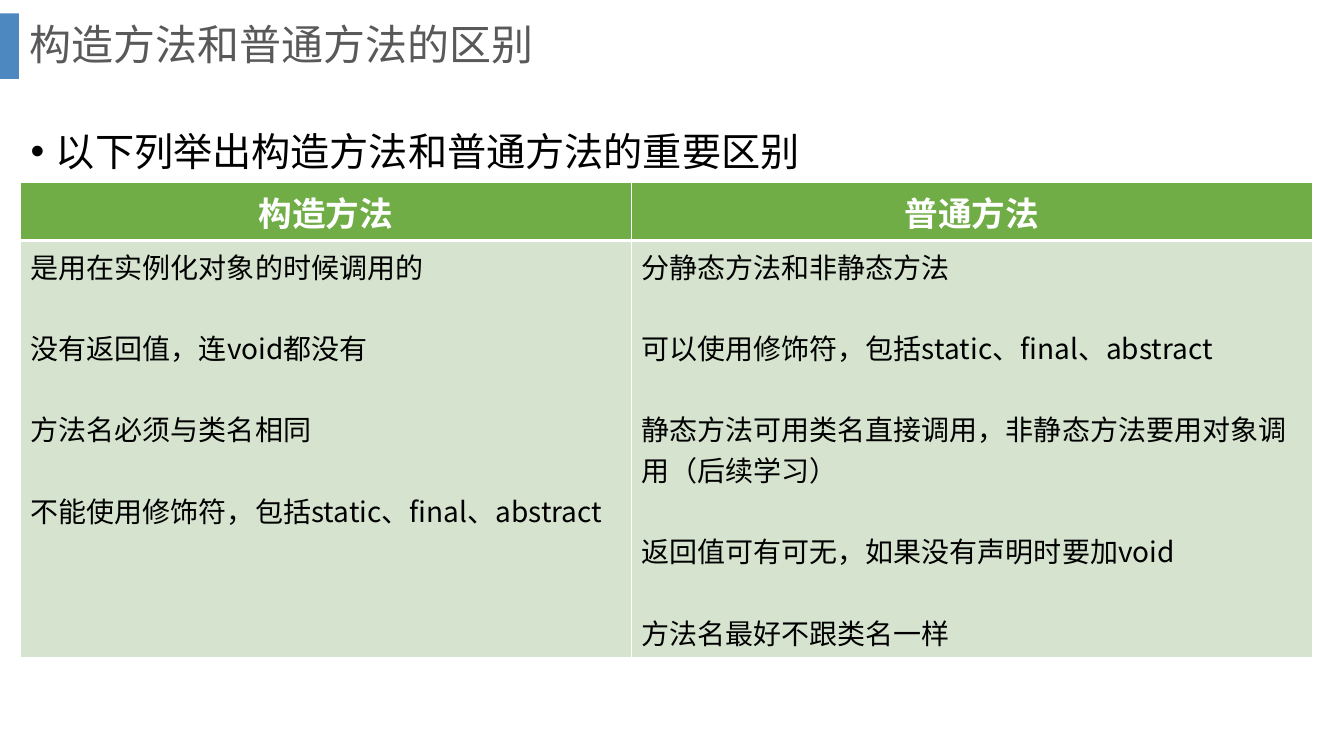
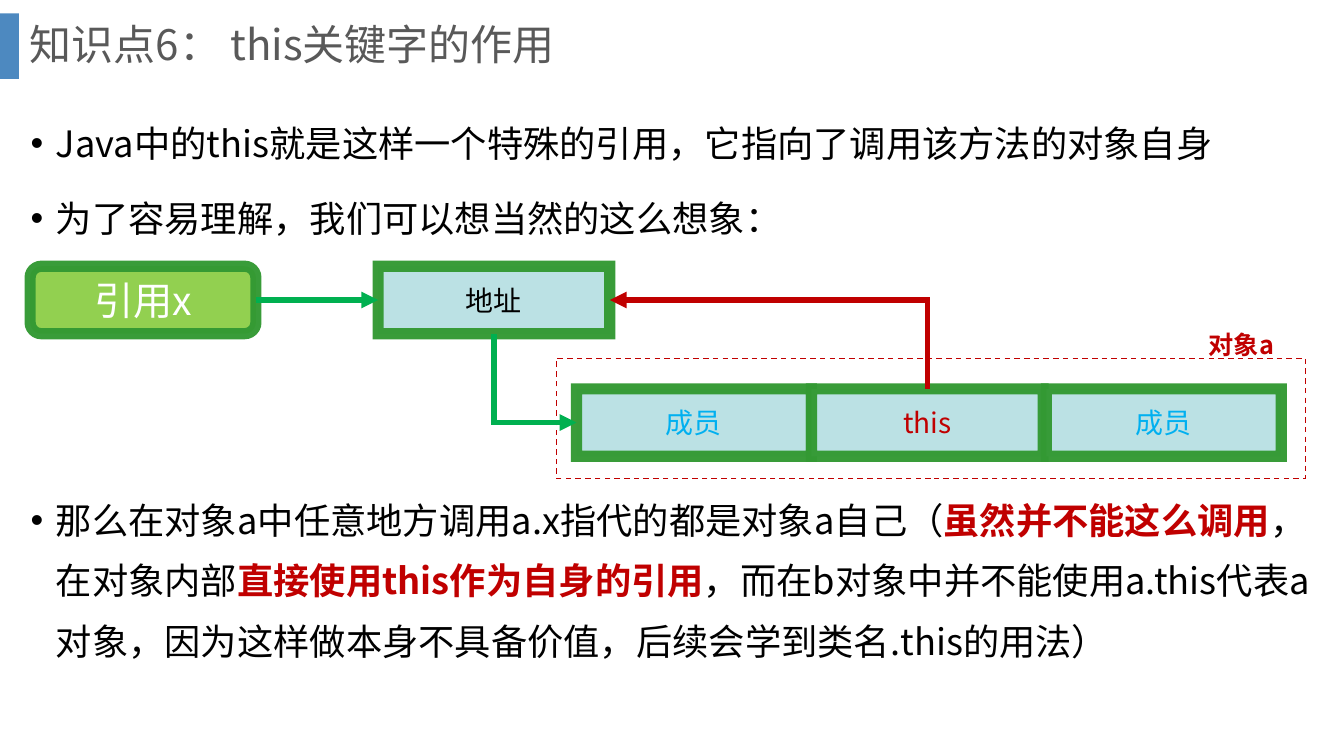
import pptx
import pptx.util
import pptx.dml.color
import pptx.enum.dml
import pptx.enum.shapes
import pptx.enum.text
import pptx.oxml
import pptx.oxml.ns

Cm, Pt = pptx.util.Cm, pptx.util.Pt
SHAPE = pptx.enum.shapes.MSO_SHAPE
LINK = pptx.enum.shapes.MSO_CONNECTOR
ALIGN = pptx.enum.text.PP_ALIGN
ANCHOR = pptx.enum.text.MSO_ANCHOR

FONT = "Noto Sans CJK SC"
BLACK, WHITE, GREY = "000000", "FFFFFF", "595959"
BLUE, CYAN, PALE, RED = "2E75B6", "00B0F0", "BBE1E4", "C00000"
LIME, GREEN, EDGE = "92D050", "00B050", "339933"
HEAD, CELL = "70AD47", "D5E3CF"
TOP, LEFT, BOTTOM, RIGHT = range(4)  # connection sites of a box

# Slide 1
TITLE_1 = "构造方法和普通方法的区别"
INTRO = "以下列举出构造方法和普通方法的重要区别"
COLUMNS = [
    ("构造方法", 15.39, [
        "是用在实例化对象的时候调用的",
        "没有返回值，连void都没有",
        "方法名必须与类名相同",
        "不能使用修饰符，包括static、final、abstract",
    ]),
    ("普通方法", 17.16, [
        "分静态方法和非静态方法",
        "可以使用修饰符，包括static、final、abstract",
        "静态方法可用类名直接调用，非静态方法要用对象调用（后续学习）",
        "返回值可有可无，如果没有声明时要加void",
        "方法名最好不跟类名一样",
    ]),
]
ROWS = [1.47, 10.5]

# Slide 2: each point is its space before and its runs (text, stressed)
TITLE_2 = "知识点6： this关键字的作用"
POINTS = [
    (10, [("Java中的this就是这样一个特殊的引用，它指向了调用该方法的对象自身", False)]),
    (10, [("为了容易理解，我们可以想当然的这么想象：", False)]),
    (172, [
        ("那么在对象a中任意地方调用a.x指代的都是对象a自己（", False),
        ("虽然并不能这么调用", True),
        ("，在对象内部", False),
        ("直接使用this作为自身的引用", True),
        ("，而在b对象中并不能使用a.this代表a对象，因为这样做本身不具备价值，"
         "后续会学到类名.this的用法）", False),
    ]),
]
PARTS = [("成员", CYAN, 5.92), ("this", RED, 5.84), ("成员", CYAN, 5.92)]
PART_X, PART_Y, PITCH = 14.53, 9.8, 5.92
BOX_Y, BOX_H, BOX_W = 6.71, 1.7, 5.84


def rgb(code):
    return pptx.dml.color.RGBColor.from_string(code)


def node(tag, **attrs):
    item = pptx.oxml.parse_xml(f"<a:{tag} {pptx.oxml.ns.nsdecls('a')}/>")
    for key, value in attrs.items():
        item.set(key, str(value))
    return item


def paint(fill, code, alpha=100):
    fill.solid()
    fill.fore_color.rgb = rgb(code)
    if alpha < 100:
        color = fill._xPr.find(".//" + pptx.oxml.ns.qn("a:srgbClr"))
        color.append(node("alpha", val=alpha * 1000))


def stroke(line, code, width, alpha=100):
    paint(line.fill, code, alpha)
    line.width = Pt(width)
    line._get_or_add_ln().append(node("miter", lim=800000))


def write(para, text, size, color, bold=False):
    run = para.add_run()
    run.text = text
    font = run.font
    font.size, font.bold = Pt(size), bold
    font.color.rgb = rgb(color)
    font.name = FONT
    run._r.get_or_add_rPr().append(node("ea", typeface=FONT))


def add_text(slide, x, y, w, h):
    frame = slide.shapes.add_textbox(Cm(x), Cm(y), Cm(w), Cm(h)).text_frame
    frame.word_wrap = True
    return frame


def add_box(slide, x, y, w, h, kind=SHAPE.RECTANGLE):
    box = slide.shapes.add_shape(kind, Cm(x), Cm(y), Cm(w), Cm(h))
    box.shadow.inherit = False
    return box


def add_block(slide, x, y, text, color, fill=PALE, size=20, w=BOX_W,
              kind=SHAPE.RECTANGLE):
    """Add a thick-edged box with a centred label."""
    box = add_box(slide, x, y, w, BOX_H, kind)
    paint(box.fill, fill)
    stroke(box.line, EDGE, 8, 96)
    box.text_frame.vertical_anchor = ANCHOR.MIDDLE
    para = box.text_frame.paragraphs[0]
    para.alignment = ALIGN.CENTER
    write(para, text, size, color)
    return box


def add_arrow(slide, goal, site, start, exit_site, color, bent=True):
    """Draw from goal back to start, so a bend leaves the goal sideways."""
    kind = LINK.ELBOW if bent else LINK.STRAIGHT
    link = slide.shapes.add_connector(kind, 0, 0, 0, 0)
    link.begin_connect(goal, site)
    link.end_connect(start, exit_site)
    if bent:
        link._element.spPr.prstGeom.set("prst", "bentConnector2")
    stroke(link.line, color, 4)
    link.line._get_or_add_ln().append(node("headEnd", type="triangle"))
    link._element.spPr.append(node("effectLst"))


def add_point(frame, runs, size, pitch, before):
    """Add a bulleted paragraph from (text, stressed) runs."""
    para = frame.paragraphs[0]
    if para.runs:
        para = frame.add_paragraph()
    para.line_spacing, para.space_before = pitch, Pt(before)
    props = para._p.get_or_add_pPr()
    props.set("marL", str(Cm(0.64)))
    props.set("indent", str(-Cm(0.64)))
    props.append(node("buFont", typeface="Arial"))
    props.append(node("buChar", char="•"))
    for text, stress in runs:
        write(para, text, size, RED if stress else BLACK, stress)


def add_slide(deck, title):
    """Add a slide with band and title; return it with its body frame."""
    slide = deck.slides.add_slide(deck.slide_layouts[6])
    band = add_box(slide, 0, 0.34, 0.48, 1.65)
    paint(band.fill, BLUE, 85)
    band.line.fill.background()
    frame = add_text(slide, 0.5, 0, 32.16, 2.36)
    frame.vertical_anchor = ANCHOR.MIDDLE
    frame.paragraphs[0].line_spacing = 0.9
    write(frame.paragraphs[0], title, 30, GREY)
    return slide, add_text(slide, 0.52, 2.49, 32.77, 15.14)


def style_cell(cell, fill, top, bottom):
    props = cell._tc.get_or_add_tcPr()
    for side, width in zip("LRTB", (1, 1, top, bottom)):
        edge = node("ln" + side, w=Pt(width))
        solid = node("solidFill")
        solid.append(node("srgbClr", val=WHITE))
        edge.append(solid)
        props.append(edge)
    paint(cell.fill, fill)


def add_table(slide):
    width = sum(column[1] for column in COLUMNS)
    table = slide.shapes.add_table(
        len(ROWS), len(COLUMNS), Cm(0.52), Cm(4.59), Cm(width), Cm(sum(ROWS))
    ).table
    for row, height in zip(table.rows, ROWS):
        row.height = Cm(height)
    for i, (name, width, facts) in enumerate(COLUMNS):
        table.columns[i].width = Cm(width)
        head, body = table.cell(0, i), table.cell(1, i)
        style_cell(head, HEAD, 1, 3)
        style_cell(body, CELL, 3, 1)
        para = head.text_frame.paragraphs[0]
        para.alignment = ALIGN.CENTER
        write(para, name, 24, WHITE, True)
        for j, fact in enumerate(facts):
            frame = body.text_frame
            para = frame.add_paragraph() if j else frame.paragraphs[0]
            para.space_before = Pt(29.1 if j else 0)
            write(para, fact, 20, BLACK)


def add_scheme(slide):
    """Draw the reference, the address and the object it points to."""
    source = add_block(slide, 0.76, BOX_Y, "引用x", WHITE, LIME, 28, 5.69,
                       SHAPE.ROUNDED_RECTANGLE)
    place = add_block(slide, 9.53, BOX_Y, "地址", BLACK)
    parts = [add_block(slide, PART_X + i * PITCH, PART_Y, text, color, w=width)
             for i, (text, color, width) in enumerate(PARTS)]
    border = add_box(slide, 14.02, 9.03, 18.88, 3.03)
    border.fill.background()
    stroke(border.line, RED, 1)
    border.line.dash_style = pptx.enum.dml.MSO_LINE.DASH
    label = add_text(slide, 30.21, 8.17, 3.5, 1.02)
    write(label.paragraphs[0], "对象a", 18, RED, True)
    add_arrow(slide, place, LEFT, source, RIGHT, GREEN, bent=False)
    add_arrow(slide, parts[0], LEFT, place, BOTTOM, GREEN)
    add_arrow(slide, place, RIGHT, parts[1], TOP, RED)


def main():
    deck = pptx.Presentation()
    deck.slide_width, deck.slide_height = Cm(33.87), Cm(19.05)
    slide, body = add_slide(deck, TITLE_1)
    add_point(body, [(INTRO, False)], 28, 1.5, 10)
    add_table(slide)
    slide, body = add_slide(deck, TITLE_2)
    for before, runs in POINTS:
        add_point(body, runs, 25.9, 1.4, before)
    add_scheme(slide)
    deck.save("out.pptx")


if __name__ == "__main__":
    main()
